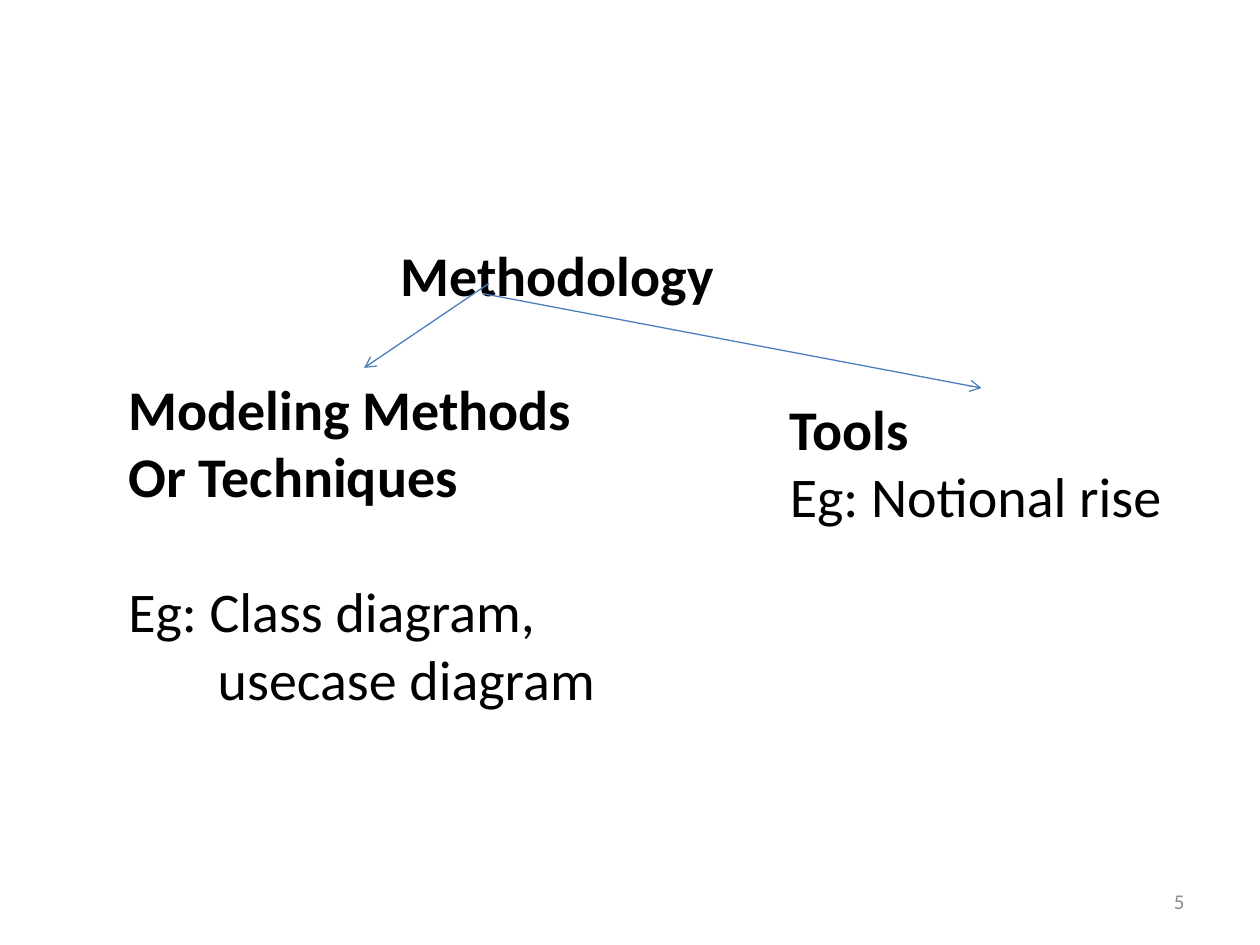
from pptx import Presentation
from pptx.dml.color import RGBColor
from pptx.enum.shapes import MSO_CONNECTOR
from pptx.enum.text import MSO_ANCHOR, PP_ALIGN
from pptx.oxml.ns import qn
from pptx.util import Inches, Pt
from lxml import etree

STRAIGHT = MSO_CONNECTOR.STRAIGHT
MIDDLE, TOP = MSO_ANCHOR.MIDDLE, MSO_ANCHOR.TOP
LEFT, RIGHT = PP_ALIGN.LEFT, PP_ALIGN.RIGHT

COLORS = {"text": "000000", "line": "4B7EBC", "number": "8C8C8C"}
FONT = "Calibri"
SIZE = 32
GAP = 39
INDENT = 0.71

# text, bold, space before, indent
BOXES = [
    ((3.08, 1.86, 2.71, 0.64), [("Methodology", True, 0, 0)]),
    ((0.92, 2.92, 3.94, 2.79), [
        ("Modeling Methods", True, 0, 0),
        ("Or Techniques", True, 0, 0),
        ("Eg: Class diagram,", False, GAP, 0),
        ("usecase diagram", False, 0, INDENT),
    ]),
    ((6.17, 3.08, 3.24, 1.18), [
        ("Tools", True, 0, 0),
        ("Eg: Notional rise", False, 0, 0),
    ]),
]
NUMBER = ((7.17, 6.95, 2.33, 0.4), [("5", False, 0, 0)])
ARROWS = [(3.88, 2.25, 2.89, 2.92), (3.83, 2.33, 7.79, 3.08)]


def add_text(slide, place, lines, size=SIZE, color="text", align=LEFT, anchor=TOP):
    frame = slide.shapes.add_textbox(*map(Inches, place)).text_frame
    frame.word_wrap = True
    frame.vertical_anchor = anchor
    for i, (text, bold, space, indent) in enumerate(lines):
        para = frame.add_paragraph() if i else frame.paragraphs[0]
        para.text = text
        para.alignment = align
        if space:
            para.space_before = Pt(space)
        if indent:
            para._p.get_or_add_pPr().set("marL", str(Inches(indent)))
        font = para.font
        font.name, font.size, font.bold = FONT, Pt(size), bold
        font.color.rgb = RGBColor.from_string(COLORS[color])


def add_arrow(slide, ends):
    arrow = slide.shapes.add_connector(STRAIGHT, *map(Inches, ends))
    arrow.line.width = Pt(0.75)
    arrow.line.color.rgb = RGBColor.from_string(COLORS["line"])
    etree.SubElement(arrow.line._get_or_add_ln(), qn("a:tailEnd"), type="arrow")
    etree.SubElement(arrow._element.spPr, qn("a:effectLst"))


def main():
    deck = Presentation()
    deck.slide_width, deck.slide_height = Inches(10), Inches(7.5)
    slide = deck.slides.add_slide(deck.slide_layouts[6])
    add_text(slide, *NUMBER, size=12, color="number", align=RIGHT, anchor=MIDDLE)
    for place, lines in BOXES:
        add_text(slide, place, lines)
    for ends in ARROWS:
        add_arrow(slide, ends)
    deck.save("out.pptx")


if __name__ == "__main__":
    main()
